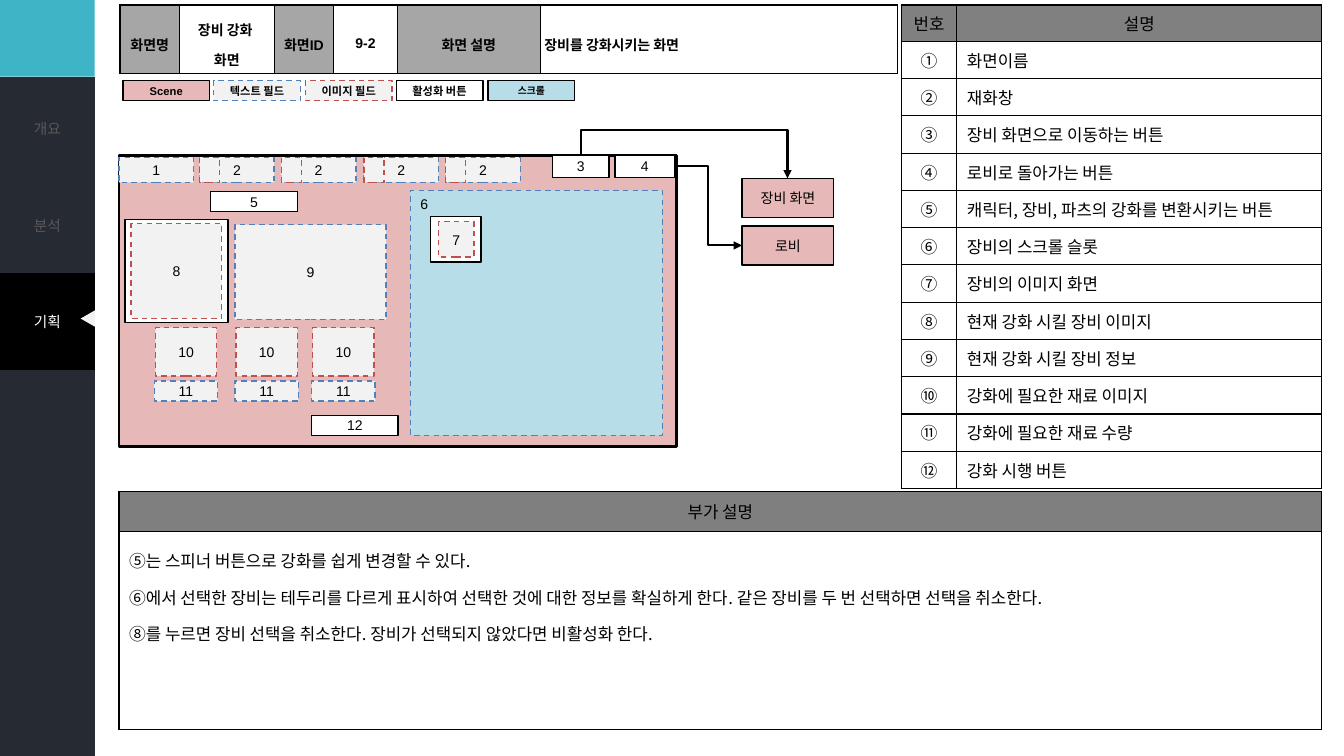
from dataclasses import dataclass
from typing import Optional

from lxml import etree
from pptx import Presentation
from pptx.dml.color import RGBColor
from pptx.enum.dml import MSO_LINE
from pptx.enum.shapes import MSO_CONNECTOR, MSO_SHAPE
from pptx.enum.text import MSO_ANCHOR, PP_ALIGN
from pptx.oxml.ns import qn
from pptx.util import Emu, Pt

RECT, TRIANGLE = MSO_SHAPE.RECTANGLE, MSO_SHAPE.ISOSCELES_TRIANGLE
ELBOW, DASH = MSO_CONNECTOR.ELBOW, MSO_LINE.DASH
LEFT, CENTER = PP_ALIGN.LEFT, PP_ALIGN.CENTER
TOP, MIDDLE = MSO_ANCHOR.TOP, MSO_ANCHOR.MIDDLE

PX = 9144  # EMU in one px, 100 px to the inch
SANS, NOTO = "Arial", "Noto Sans CJK KR"
BLACK, WHITE, NAVY, CYAN = "000000", "FFFFFF", "262A33", "3EB4C6"
ROSE, PALE, SKY = "E6B9B8", "F2F2F2", "B7DEE8"
BLUE, RED = "4F81BD", "C0504D"


@dataclass(frozen=True)
class Style:
    fill: str
    line: Optional[str] = BLACK
    dash: bool = False
    width: float = 1


@dataclass(frozen=True)
class Type:
    size: float
    font: str = NOTO
    color: str = BLACK
    bold: bool = False
    align: PP_ALIGN = CENTER
    space: float = 1


@dataclass(frozen=True)
class Box:
    x: int
    y: int
    w: int
    h: int
    style: Style
    text: str = ""
    type: Type = Type(10, SANS)


@dataclass(frozen=True)
class Cell:
    text: str
    fill: str
    type: Type
    anchor: MSO_ANCHOR = MIDDLE


SCENE, BUTTON, SCROLL = Style(ROSE), Style(WHITE), Style(SKY)
FIELD, IMAGE = Style(PALE, BLUE, True), Style(PALE, RED, True)


def px(count: int) -> Emu:
    return Emu(count * PX)


def rgb(code: str) -> RGBColor:
    return RGBColor.from_string(code)


def write(frame, text: str, kind: Type) -> None:
    frame.text = text
    for para in frame.paragraphs:
        para.alignment = kind.align
        para.line_spacing = kind.space
        for run in para.runs:
            font = run.font
            font.size, font.bold, font.name = Pt(kind.size), kind.bold, kind.font
            font.color.rgb = rgb(kind.color)
            etree.SubElement(run._r.get_or_add_rPr(), qn("a:ea"), typeface=NOTO)


def draw(shapes, box: Box, form=RECT):
    shape = shapes.add_shape(form, px(box.x), px(box.y), px(box.w), px(box.h))
    shape.shadow.inherit = False
    shape.fill.solid()
    shape.fill.fore_color.rgb = rgb(box.style.fill)
    if box.style.line:
        shape.line.color.rgb = rgb(box.style.line)
        shape.line.width = Pt(box.style.width)
        if box.style.dash:
            shape.line.dash_style = DASH
    else:
        shape.line.fill.background()
    if box.text:
        frame = shape.text_frame
        frame.margin_left = frame.margin_right = 0
        frame.margin_top = frame.margin_bottom = 0
        frame.vertical_anchor = MIDDLE
        write(frame, box.text, box.type)
    return shape


def edge(cell, color: Optional[str]) -> None:
    props = cell._tc.get_or_add_tcPr()
    for side in ("lnL", "lnR", "lnT", "lnB"):
        line = etree.SubElement(props, qn("a:" + side), w=str(Pt(1)))
        if color:
            fill = etree.SubElement(line, qn("a:solidFill"))
            etree.SubElement(fill, qn("a:srgbClr"), val=color)
        else:
            etree.SubElement(line, qn("a:noFill"))


def grid(shapes, x: int, y: int, cols: list[int], rows: list[int],
         cells: list[list[Cell]], line: Optional[str] = BLACK,
         inset: Optional[int] = None) -> None:
    table = shapes.add_table(len(rows), len(cols), px(x), px(y),
                             px(sum(cols)), px(sum(rows))).table
    table.first_row = table.horz_banding = False
    for col, width in zip(table.columns, cols):
        col.width = px(width)
    for row, height, items in zip(table.rows, rows, cells):
        row.height = px(height)
        for cell, item in zip(row.cells, items):
            edge(cell, line)
            cell.fill.solid()
            cell.fill.fore_color.rgb = rgb(item.fill)
            cell.vertical_anchor = item.anchor
            if inset is not None:
                cell.margin_left = cell.margin_right = px(inset)
                cell.margin_top = cell.margin_bottom = px(inset)
            if item.text:
                write(cell.text_frame, item.text, item.type)


def link(shapes, start, out: int, end, into: int):
    line = shapes.add_connector(ELBOW, 0, 0, 0, 0)
    line.begin_connect(start, out)
    line.end_connect(end, into)
    line.line.color.rgb = rgb(BLACK)
    line.line.width = Pt(1.5)
    etree.SubElement(line.line._get_or_add_ln(), qn("a:tailEnd"), type="triangle")
    etree.SubElement(line._element.spPr, qn("a:effectLst"))
    return line


def main() -> None:
    deck = Presentation()
    deck.slide_width, deck.slide_height = px(1333), px(750)
    shapes = deck.slides.add_slide(deck.slide_layouts[6]).shapes

    # Side menu: plain strip, then the entries
    dim, lit = Type(10.5, color="595959"), Type(10.5, color=WHITE)
    plain = [Cell("", NAVY, dim)] * 7
    menu = [Cell("개요", NAVY, dim), Cell("분석", NAVY, dim), Cell("기획", BLACK, lit)]
    grid(shapes, 0, 76, [94], [96] * 7, [[item] for item in plain], None)
    draw(shapes, Box(0, 0, 94, 76, Style(CYAN, None)))
    grid(shapes, 0, 79, [94], [96] * 7, [[item] for item in menu + plain[3:]], None)
    draw(shapes, Box(79, 309, 16, 14, Style(PALE, None)), TRIANGLE).rotation = 270

    # Legend
    label = Type(8, SANS, bold=True)
    legend = [("Scene", SCENE, label), ("텍스트 필드", FIELD, label),
              ("이미지 필드", IMAGE, label), ("활성화 버튼", BUTTON, label),
              ("스크롤", SCROLL, Type(7, bold=True))]
    for i, (text, style, kind) in enumerate(legend):
        draw(shapes, Box(122 + 181 * i // 2, 80, 86, 20, style, text, kind))

    # Screen header
    head = Type(10, SANS, bold=True, space=1.5)
    note = Type(10, SANS, bold=True, align=LEFT, space=1.5)
    texts = ["화면명", "장비 강화 \n화면", "화면ID", "9-2", "화면 설명"]
    top = [Cell(text, WHITE if i % 2 else "A6A6A6", head) for i, text in enumerate(texts)]
    top.append(Cell("장비를 강화시키는 화면", WHITE, note))
    grid(shapes, 119, 5, [59, 94, 59, 63, 142, 354], [63], [top], inset=4)

    # Numbered descriptions
    mid, body = Type(12), Type(12, align=LEFT)
    parts = ["화면이름", "재화창", "장비 화면으로 이동하는 버튼", "로비로 돌아가는 버튼",
             "캐릭터, 장비, 파츠의 강화를 변환시키는 버튼", "장비의 스크롤 슬롯",
             "장비의 이미지 화면", "현재 강화 시킬 장비 이미지", "현재 강화 시킬 장비 정보",
             "강화에 필요한 재료 이미지", "강화에 필요한 재료 수량", "강화 시행 버튼"]
    lines = [[Cell("번호", "808080", mid), Cell("설명", "808080", mid)]]
    lines += [[Cell(mark, WHITE, mid), Cell(text, WHITE, body)]
              for mark, text in zip("①②③④⑤⑥⑦⑧⑨⑩⑪⑫", parts)]
    grid(shapes, 894, 5, [55, 362], [36] + [37] * 12, lines)

    # Extra notes
    extra = "\n".join([
        "⑤는 스피너 버튼으로 강화를 쉽게 변경할 수 있다.",
        "⑥에서 선택한 장비는 테두리를 다르게 표시하여 선택한 것에 대한 정보를 확실하게 한다. "
        "같은 장비를 두 번 선택하면 선택을 취소한다.",
        "⑧를 누르면 장비 선택을 취소한다. 장비가 선택되지 않았다면 비활성화 한다."])
    grid(shapes, 118, 488, [1193], [39, 197], [
        [Cell("부가 설명", "7F7F7F", mid)],
        [Cell(extra, WHITE, Type(12, align=LEFT, space=1.5), TOP)]])

    # Screen mock-up
    scene = shapes.add_group_shape().shapes
    coins = [198 + 163 * i // 2 for i in range(4)]
    boxes = [Box(118, 154, 553, 289, Style(ROSE, width=2)),
             Box(209, 190, 86, 20, BUTTON, "5"),
             Box(309, 412, 86, 20, BUTTON, "12"),
             Box(233, 223, 150, 94, FIELD, "9"),
             Box(407, 189, 250, 243, Style(SKY, BLUE, True)),
             Box(427, 215, 50, 45, BUTTON),
             Box(435, 220, 35, 35, IMAGE, "7"),
             Box(124, 218, 102, 102, BUTTON),
             Box(130, 222, 90, 94, IMAGE, "8"),
             Box(118, 156, 74, 25, FIELD, "1")]
    for x in (153, 233, 309):
        boxes += [Box(x + 1, 325, 61, 48, IMAGE, "10"), Box(x, 378, 63, 20, FIELD, "11")]
    for x in coins:
        boxes += [Box(x, 156, 74, 25, FIELD, "2"), Box(x, 156, 20, 25, IMAGE)]
    for box in boxes:
        draw(scene, box)
    six = scene.add_textbox(px(407), px(189), px(28), px(27)).text_frame
    six.word_wrap = False
    write(six, "6", Type(10, SANS, align=LEFT))
    back = draw(scene, Box(610, 154, 59, 22, BUTTON, "4"))
    gear = draw(scene, Box(548, 154, 56, 22, BUTTON, "3"))

    # Target screens and their arrows
    goals = [draw(shapes, Box(736, y, 91, 39, SCENE, text, Type(10)))
             for y, text in ((177, "장비 화면"), (224, "로비"))]
    over = link(shapes, gear, 0, goals[0], 0)
    over.left, over.top, over.width, over.height = px(667), px(63), px(23), px(205)
    frame = over._element.spPr.xfrm
    frame.set("rot", "16200000")
    frame.set("flipH", "1")
    bend = over._element.spPr.prstGeom.get_or_add_avLst()
    etree.SubElement(bend, qn("a:gd"), name="adj1", fmla="val -110000")
    link(shapes, back, 3, goals[1], 1)

    deck.save("out.pptx")


if __name__ == "__main__":
    main()
